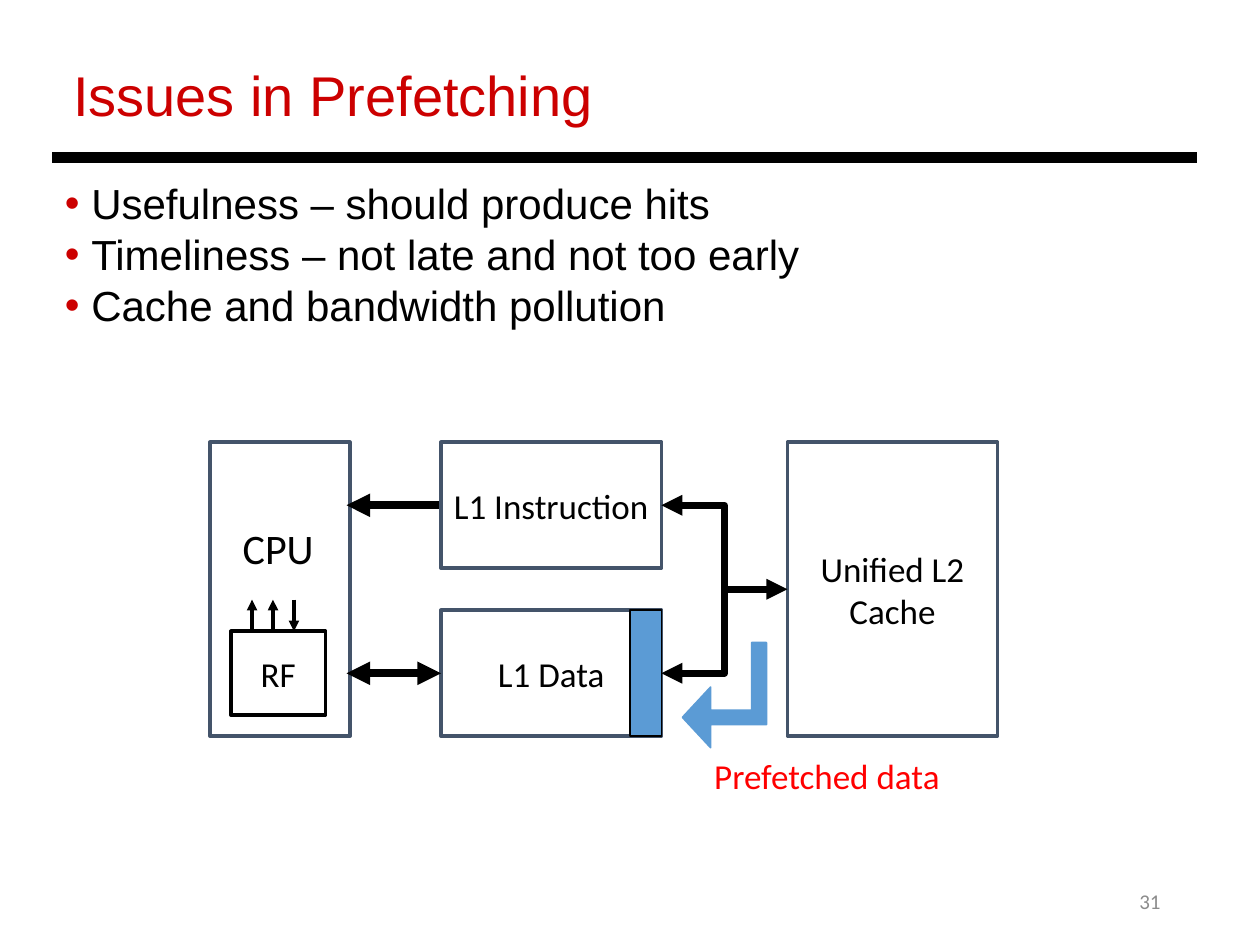
from lxml.etree import SubElement
from pptx import Presentation
from pptx.dml.color import RGBColor
from pptx.enum.shapes import MSO_CONNECTOR as Connector, MSO_SHAPE as Preset
from pptx.enum.text import MSO_ANCHOR as Anchor, MSO_AUTO_SIZE as AutoSize, PP_ALIGN as Align
from pptx.oxml.ns import qn
from pptx.util import Inches, Pt

BLACK = RGBColor(0x00, 0x00, 0x00)
WHITE = RGBColor(0xFF, 0xFF, 0xFF)
CRIMSON = RGBColor(0xCC, 0x00, 0x00)
RED = RGBColor(0xFF, 0x00, 0x00)
SLATE = RGBColor(0x44, 0x54, 0x6A)
BLUE = RGBColor(0x5B, 0x9B, 0xD5)
GRAY = RGBColor(0x8C, 0x8C, 0x8C)

COLUMNS, ROWS = 60, 45
DIAGRAM_TOP = 21.06


class SlideBuilder:
    """Draws on one slide; all lengths are grid columns and rows."""

    def __init__(self, deck):
        self.column = deck.slide_width / COLUMNS
        self.row = deck.slide_height / ROWS
        self.top = 0
        self.slide = deck.slides.add_slide(deck.slide_layouts[5])
        self.shapes = self.slide.shapes

    def point(self, column, row):
        return round(column * self.column), round((self.top + row) * self.row)

    def box(self, column, row, width, height):
        return (*self.point(column, row), round(width * self.column), round(height * self.row))

    def set_text(self, shape, lines, size, color=BLACK, face="Calibri",
                 align=Align.LEFT, anchor=Anchor.TOP, wrap=True):
        frame = shape.text_frame
        frame.text = "\n".join(lines)
        frame_format = {"word_wrap": wrap, "auto_size": AutoSize.NONE, "vertical_anchor": anchor}
        for name, value in frame_format.items():
            setattr(frame, name, value)
        for paragraph in frame.paragraphs:
            paragraph.alignment = align
            font = paragraph.runs[0].font
            for name, value in {"size": Pt(size), "name": face}.items():
                setattr(font, name, value)
            font.color.rgb = color
        return frame

    def title(self, words, *place):
        title = self.shapes.title
        for name, value in zip(("left", "top", "width", "height"), self.box(*place)):
            setattr(title, name, value)
        self.set_text(title, [words], 32, CRIMSON, "Arial")

    def label(self, words, *place, **style):
        self.set_text(self.shapes.add_textbox(*self.box(*place)), [words], **style)

    def bullets(self, lines, *place):
        frame = self.set_text(self.shapes.add_textbox(*self.box(*place)), lines, 24, face="Arial")
        for paragraph in frame.paragraphs:
            paragraph.line_spacing = Pt(29)
            properties = paragraph._p.get_or_add_pPr()
            properties.set("marL", str(Inches(0.21)))
            properties.set("indent", str(-Inches(0.21)))
            color = SubElement(properties, qn("a:buClr"))
            SubElement(color, qn("a:srgbClr")).set("val", str(CRIMSON))
            SubElement(properties, qn("a:buFont")).set("typeface", "Arial")
            SubElement(properties, qn("a:buChar")).set("char", "•")

    def paint(self, shape, fill, line, weight):
        shape.shadow.inherit = False
        if fill is None:
            shape.fill.background()
        else:
            shape.fill.solid()
            shape.fill.fore_color.rgb = fill
        shape.line.color.rgb = line
        shape.line.width = Pt(weight)

    def block(self, words, *place, fill=WHITE, line=SLATE, weight=2, wrap=True):
        block = self.shapes.add_shape(Preset.RECTANGLE, *self.box(*place))
        self.paint(block, fill, line, weight)
        if words:
            self.set_text(block, [words], 20, align=Align.CENTER, anchor=Anchor.MIDDLE, wrap=wrap)

    def add_heads(self, shape, ends):
        for end in ends:
            SubElement(shape.line._get_or_add_ln(), qn(f"a:{end}End")).set("type", "triangle")

    def line(self, start, finish, weight, ends=()):
        line = self.shapes.add_connector(
            Connector.STRAIGHT, *self.point(*start), *self.point(*finish))
        line.line.color.rgb = BLACK
        line.line.width = Pt(weight)
        self.add_heads(line, ends)
        SubElement(line._element.spPr, qn("a:effectLst"))

    def outline(self, points, fill=None, line=BLACK, weight=4, ends=()):
        first, *others = [self.point(*point) for point in points]
        builder = self.shapes.build_freeform(*first)
        builder.add_line_segments(others, close=fill is not None)
        outline = builder.convert_to_shape()
        self.paint(outline, fill, line, weight)
        self.add_heads(outline, ends)


def main():
    deck = Presentation()
    deck.slide_width, deck.slide_height = Inches(10), Inches(7.5)
    page = SlideBuilder(deck)

    # Heading, rule, points and page number
    page.title("Issues in Prefetching", 2.88, 2.58, 49.6, 3.84)
    page.line((2.5, 7.5), (57, 7.5), 6)
    page.bullets(["Usefulness – should produce hits",
                  "Timeliness – not late and not too early",
                  "Cache and bandwidth pollution"], 2.5, 8.16, 54.25, 7.86)
    page.label("31", 42.36, 41.7, 13.5, 2.4, size=12, color=GRAY,
               align=Align.RIGHT, anchor=Anchor.MIDDLE)

    # Processor and caches
    page.top = DIAGRAM_TOP
    page.block("", 10, 0, 6.67, 14)
    page.block("L1 Data", 21, 8, 10.5, 6)
    page.line((21, 3), (16.5, 3), 4.5, ["tail"])
    page.line((21, 11), (16.5, 11), 4.5, ["head", "tail"])
    page.block("L1 Instruction", 21, 0, 10.5, 6)
    page.block("Unified L2 Cache", 37.5, 0, 10, 14)

    # Bus between the L1 caches and L2
    page.outline([(31.5, 3), (34.5, 3), (34.5, 7), (37.5, 7)], ends=["head", "tail"])
    page.outline([(34.5, 7), (34.5, 11), (31.5, 11)], ends=["tail"])

    # Register file: two reads up, one store down
    page.block("RF", 11, 9, 4.5, 4, line=BLACK, wrap=False)
    for column, start, finish in ((12, 9, 7.5), (13, 9, 7.5), (14, 7.5, 9)):
        page.line((column, start), (column, finish), 2, ["tail"])
    page.label("CPU", 10, 3.54, 6.5, 3, size=24, align=Align.CENTER)

    # Prefetch path into L1 data
    tip, neck, inner, outer = 32.5, 33.84, 35.8, 36.5
    middle, head, shaft, start = 13.1, 1.44, 0.34, 9.54
    page.outline([(tip, middle), (neck, middle - head), (neck, middle - shaft),
                  (inner, middle - shaft), (inner, start), (outer, start),
                  (outer, middle + shaft), (neck, middle + shaft), (neck, middle + head)],
                 fill=BLUE, line=BLUE, weight=1)
    page.label("Prefetched data", 33.42, 14.58, 12.42, 2.64, size=20, color=RED, wrap=False)
    page.block("", 30, 8, 1.5, 6, fill=BLUE, line=BLACK, weight=1)

    deck.save("out.pptx")


if __name__ == "__main__":
    main()
